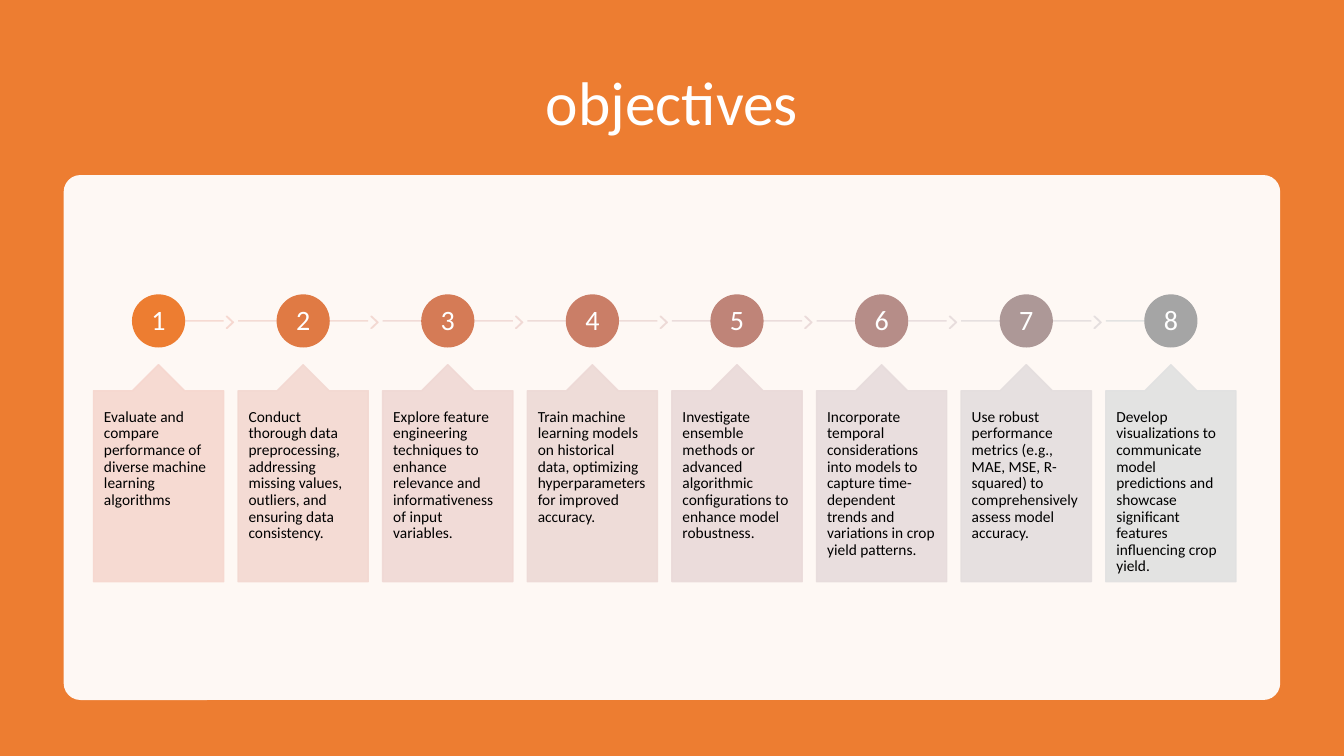
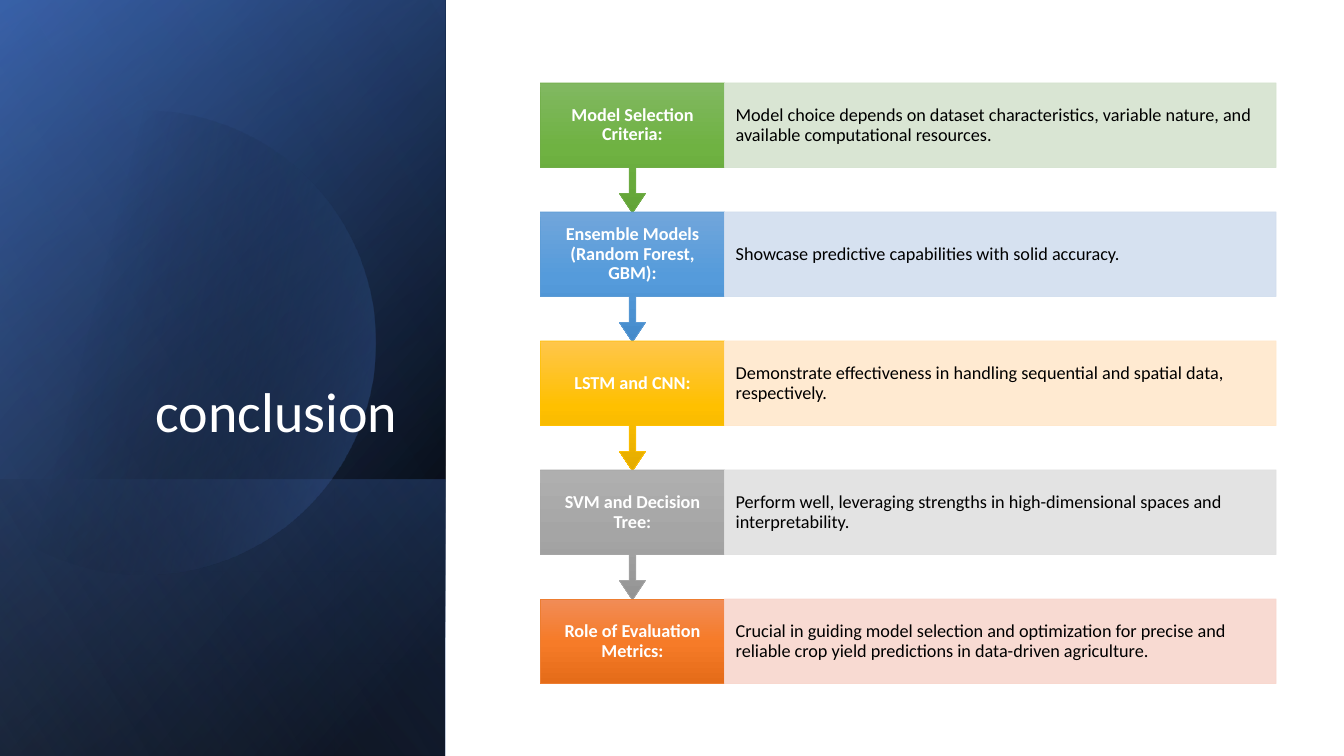
from dataclasses import dataclass
from math import acos, cos, sin

from lxml.etree import SubElement
from pptx import Presentation
from pptx.dml.color import RGBColor
from pptx.enum.shapes import MSO_CONNECTOR, MSO_SHAPE
from pptx.enum.text import MSO_ANCHOR, MSO_AUTO_SIZE, PP_ALIGN
from pptx.oxml.ns import qn
from pptx.util import Pt


@dataclass(frozen=True)
class Theme:
    font: str = "Calibri"
    white: str = "FFFFFF"
    black: str = "000000"
    orange: str = "ED7D31"
    blue: str = "4472C4"
    deep_blue: str = "2F5597"
    pale_blue: str = "8FAADC"
    tint_alpha: int = 90
    line_spacing: float = 0.9
    title_size: int = 44
    side_title_size: int = 40
    number_size: int = 20
    label_size: int = 13
    card_size: int = 11


THEME = Theme()

OBJECTIVES = [
    ("ED7D31", "F6D7CF", "Evaluate and compare performance of diverse machine learning algorithms"),
    ("E07A44", "F3D8D1", "Conduct thorough data preprocessing, addressing missing values, outliers, "
                         "and ensuring data consistency."),
    ("D57B56", "F0D8D4", "Explore feature engineering techniques to enhance relevance and "
                         "informativeness of input variables."),
    ("CA7E67", "EDD9D6", "Train machine learning models on historical data, optimizing "
                         "hyperparameters for improved accuracy."),
    ("BF8478", "EADAD9", "Investigate ensemble methods or advanced algorithmic configurations "
                         "to enhance model robustness."),
    ("B68D88", "E7DCDC", "Incorporate temporal considerations into models to capture "
                         "time-dependent trends and variations in crop yield patterns."),
    ("AD9897", "E4DEDE", "Use robust performance metrics (e.g., MAE, MSE, R-squared) to "
                         "comprehensively assess model accuracy."),
    ("A5A5A5", "E1E1E1", "Develop visualizations to communicate model predictions and showcase "
                         "significant features influencing crop yield."),
]

CONCLUSIONS = [
    ("Model Selection Criteria:",
     "Model choice depends on dataset characteristics, variable nature, and available "
     "computational resources.",
     ("81B861", "6FB242", "62A336"), "70AD47", "D5E3CF"),
    ("Ensemble Models (Random Forest, GBM):",
     "Showcase predictive capabilities with solid accuracy.",
     ("71A6DB", "559BDB", "448ACA"), "5B9BD5", "D2DEEF"),
    ("LSTM and CNN:",
     "Demonstrate effectiveness in handling sequential and spatial data, respectively.",
     ("FFC64B", "FFC000", "E3AB00"), "FFC000", "FFE8CC"),
    ("SVM and Decision Tree:",
     "Perform well, leveraging strengths in high-dimensional spaces and interpretability.",
     ("AFAFAF", "A5A5A5", "939393"), "A5A5A5", "E1E1E1"),
    ("Role of Evaluation Metrics:",
     "Crucial in guiding model selection and optimization for precise and reliable crop "
     "yield predictions in data-driven agriculture.",
     ("F18C57", "F67B28", "E56C19"), "ED7D31", "F8D7CE"),
]


def rgb(color):
    return RGBColor.from_string(color)


def set_alpha(sp, percent):
    for clr in sp.element.spPr.iter(qn("a:srgbClr")):
        SubElement(clr, qn("a:alpha"), val=str(percent * 1000))


def set_line(sp, color, width):
    sp.line.color.rgb = rgb(color)
    sp.line.width = Pt(width)


def set_gradient(sp, stops, angle):
    sp.fill.gradient()
    sp.fill.gradient_angle = 360 - angle
    gs_list = sp.element.spPr.find(qn("a:gradFill")).find(qn("a:gsLst"))
    for gs in list(gs_list):
        gs_list.remove(gs)
    for position, color, alpha in stops:
        gs = SubElement(gs_list, qn("a:gs"), pos=str(position * 1000))
        clr = SubElement(gs, qn("a:srgbClr"), val=color)
        if alpha < 100:
            SubElement(clr, qn("a:alpha"), val=str(alpha * 1000))


def add_box(slide, kind, box, color=None, line=None, width=1, adjustments=()):
    sp = slide.shapes.add_shape(kind, *(Pt(v) for v in box))
    sp.shadow.inherit = False
    for i, value in enumerate(adjustments):
        sp.adjustments[i] = value
    if color:
        sp.fill.solid()
        sp.fill.fore_color.rgb = rgb(color)
    if line:
        set_line(sp, line, width)
    else:
        sp.line.fill.background()
    return sp


def add_tinted_box(slide, kind, box, color, width=1, adjustments=()):
    sp = add_box(slide, kind, box, color, color, width, adjustments)
    set_alpha(sp, THEME.tint_alpha)
    return sp


def set_text(sp, text, size, color, align=PP_ALIGN.LEFT, anchor=MSO_ANCHOR.MIDDLE,
             insets=(7.2, 3.6), bold=False):
    tf = sp.text_frame
    tf.word_wrap = True
    tf.auto_size = MSO_AUTO_SIZE.NONE
    tf.vertical_anchor = anchor
    tf.margin_left = tf.margin_right = Pt(insets[0])
    tf.margin_top = tf.margin_bottom = Pt(insets[1])
    tf.text = text
    p = tf.paragraphs[0]
    p.alignment = align
    p.line_spacing = THEME.line_spacing
    font = p.runs[0].font
    font.name = THEME.font
    font.size = Pt(size)
    font.bold = bold
    font.color.rgb = rgb(color)


def add_title(slide, text, box, size, align, anchor):
    title = slide.shapes.title
    title.left, title.top, title.width, title.height = (Pt(v) for v in box)
    set_text(title, text, size, THEME.white, align, anchor)
    title.element.getparent().append(title.element)


def add_rule(slide, left, right, y, color):
    rule = slide.shapes.add_connector(MSO_CONNECTOR.STRAIGHT, Pt(left), Pt(y), Pt(right), Pt(y))
    set_line(rule, color, 1)
    set_alpha(rule, THEME.tint_alpha)
    SubElement(rule.element.spPr, qn("a:effectLst"))


def add_step(slide, index, color, tint, text):
    width, diameter, axis = 93, 37, 229.25
    left = 66.75 + index * 103.3
    center = left + width / 2
    last = index == len(OBJECTIVES) - 1
    add_rule(slide, left if index else center, center if last else left + width, axis, tint)
    if not last:
        add_tinted_box(slide, MSO_SHAPE.CHEVRON, (left + 95, 226, 5, 8.5), tint,
                       adjustments=[0.9])
    circle = add_box(slide, MSO_SHAPE.OVAL,
                     (center - diameter / 2, axis - diameter / 2, diameter, diameter),
                     color, color)
    set_text(circle, str(index + 1), THEME.number_size, THEME.white, PP_ALIGN.CENTER,
             insets=(1.5, 1.5))
    card = add_tinted_box(slide, MSO_SHAPE.UP_ARROW_CALLOUT, (left, 260.5, width, 155), tint,
                          adjustments=[0.5, 0.2, 0.2, 0.88])
    set_text(card, text, THEME.card_size, THEME.black, anchor=MSO_ANCHOR.TOP, insets=(7.5, 13))


def add_conclusion(slide, index, label, text, shades, line, tint):
    left, width, height = 386, 131.5, 60.4
    top = 59.25 + index * 92.15
    if index < len(CONCLUSIONS) - 1:
        head = add_box(slide, MSO_SHAPE.DOWN_ARROW_CALLOUT, (left, top, width, 92.9),
                       line=line, width=0.5, adjustments=[0.05, 0.1, 0.15, 0.65])
    else:
        head = add_box(slide, MSO_SHAPE.RECTANGLE, (left, top, width, height),
                       line=line, width=0.5)
    set_gradient(head, [(pos, shade, 100) for pos, shade in zip((0, 50, 100), shades)], 90)
    set_text(head, label, THEME.label_size, THEME.white, PP_ALIGN.CENTER,
             insets=(9.2, 7.2), bold=True)
    body = add_tinted_box(slide, MSO_SHAPE.RECTANGLE, (left + width, top, 394, height), tint, 0.5)
    set_text(body, text, THEME.label_size, THEME.black, insets=(8, 13))


def add_gradient_panel(slide, top, height, stops, angle):
    sp = add_box(slide, MSO_SHAPE.RECTANGLE, (0, top, 318, height))
    set_gradient(sp, stops, angle)


def add_cut_disc(slide, center_x, center_y, radius, stops, angle):
    half_arc = acos(-center_x / radius)
    steps = 120
    angles = [half_arc * (2 * i / steps - 1) for i in range(steps + 1)]
    points = [(Pt(center_x + radius * cos(a)), Pt(center_y + radius * sin(a))) for a in angles]
    builder = slide.shapes.build_freeform(*points[0])
    builder.add_line_segments(points[1:], close=True)
    sp = builder.convert_to_shape()
    sp.shadow.inherit = False
    sp.line.fill.background()
    set_gradient(sp, stops, angle)


def build_objectives(slide):
    fill = slide.background.fill
    fill.solid()
    fill.fore_color.rgb = rgb(THEME.orange)
    add_title(slide, "objectives", (66, 36, 828, 79), THEME.title_size,
              PP_ALIGN.CENTER, MSO_ANCHOR.MIDDLE)
    panel = add_box(slide, MSO_SHAPE.ROUNDED_RECTANGLE, (45.5, 125, 869, 375), THEME.white,
                    adjustments=[0.032])
    set_alpha(panel, 95)
    for index, objective in enumerate(OBJECTIVES):
        add_step(slide, index, *objective)


def build_conclusion(slide):
    black, blue = THEME.black, THEME.blue
    add_gradient_panel(slide, 0, 540, [(8, black, 100), (100, THEME.deep_blue, 100)], 220)
    add_gradient_panel(slide, 0, 540, [(0, black, 0), (99, blue, 46)], 240)
    add_gradient_panel(slide, 342.75, 197.25, [(2, blue, 29), (100, black, 30)], 140)
    add_cut_disc(slide, 103, 244.5, 165.5, [(29, black, 0), (100, blue, 43)], 14)
    add_gradient_panel(slide, 0, 540, [(0, black, 0), (99, THEME.pale_blue, 11)], 150)
    add_title(slide, "conclusion", (46, 132.5, 245, 188.5), THEME.side_title_size,
              PP_ALIGN.RIGHT, MSO_ANCHOR.BOTTOM)
    for index, conclusion in enumerate(CONCLUSIONS):
        add_conclusion(slide, index, *conclusion)


def main():
    prs = Presentation()
    prs.slide_width, prs.slide_height = Pt(960), Pt(540)
    title_only = prs.slide_layouts[5]
    for build in (build_objectives, build_conclusion):
        build(prs.slides.add_slide(title_only))
    prs.save("out.pptx")


if __name__ == "__main__":
    main()
